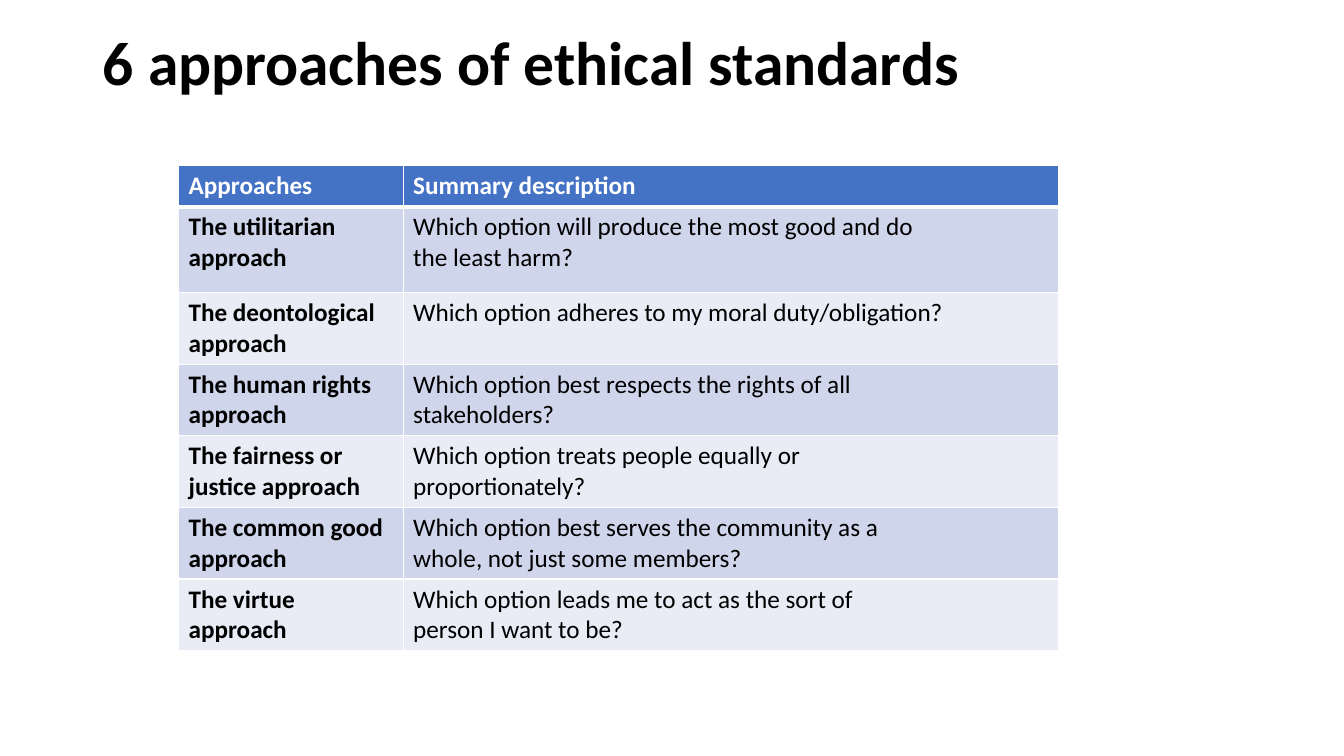
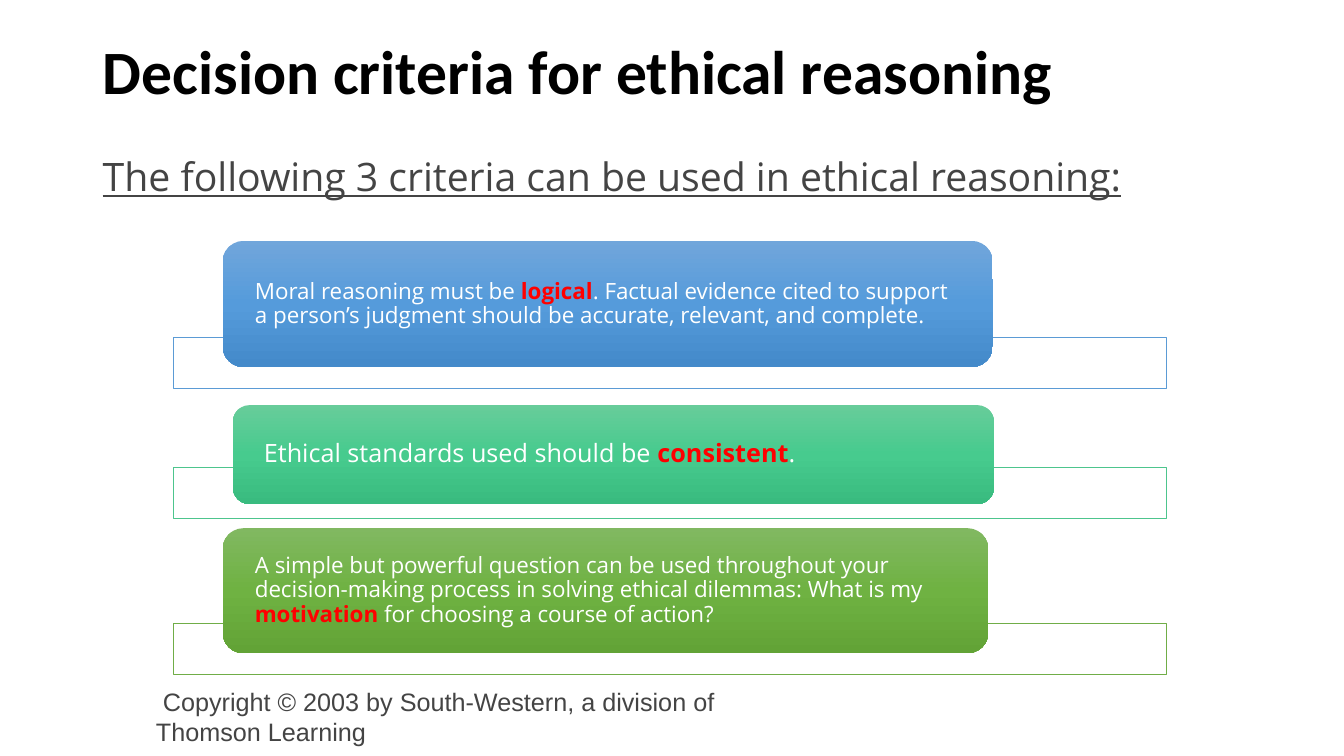
from pptx import Presentation
from pptx.dml.color import RGBColor as RGB
from pptx.enum.shapes import MSO_SHAPE as SHAPE
from pptx.enum.text import MSO_ANCHOR as ANCHOR, MSO_AUTO_SIZE as AUTO, PP_ALIGN as ALIGN
from pptx.oxml import parse_xml
from pptx.oxml.ns import nsdecls, qn
from pptx.util import Cm, Pt
from copy import deepcopy

BLACK = RGB(0x00, 0x00, 0x00)
WHITE = RGB(0xFF, 0xFF, 0xFF)
GREY = RGB(0x44, 0x44, 0x44)
RED = RGB(0xFF, 0x00, 0x00)
HEAD = RGB(0x44, 0x72, 0xC4)
BANDS = RGB(0xCF, 0xD5, 0xEA), RGB(0xE9, 0xEB, 0xF5)
BLUE = RGB(0x5B, 0x9B, 0xD5)
TEAL = RGB(0x4D, 0xC5, 0x8D)
GREEN = RGB(0x70, 0xAD, 0x47)
BLUES = RGB(0x71, 0xA6, 0xDB), RGB(0x55, 0x9B, 0xDB), RGB(0x44, 0x8A, 0xCA)
TEALS = RGB(0x67, 0xCC, 0x9A), RGB(0x47, 0xCB, 0x8E), RGB(0x39, 0xBB, 0x7F)
GREENS = RGB(0x81, 0xB8, 0x61), RGB(0x6F, 0xB2, 0x42), RGB(0x62, 0xA3, 0x36)

TITLE = dict(name="Calibri", size=Pt(44), bold=True, color=BLACK)
CELL = dict(name="Calibri", size=Pt(18), bold=False, color=BLACK)
LEAD = dict(name="Open Sans", size=Pt(28), underline=True, color=GREY)
CARD = dict(name="Open Sans", size=Pt(16), bold=False, color=WHITE)
NOTE = dict(name="Arial", size=Pt(18), color=GREY)

ROWS = [
    ("Approaches", "Summary description"),
    ("The utilitarian\napproach",
     "Which option will produce the most good and do\nthe least harm?"),
    ("The deontological approach",
     "Which option adheres to my moral duty/obligation?"),
    ("The human rights\napproach",
     "Which option best respects the rights of all\nstakeholders?"),
    ("The fairness or\njustice approach",
     "Which option treats people equally or\nproportionately?"),
    ("The common good\napproach",
     "Which option best serves the community as a\nwhole, not just some members?"),
    ("The virtue approach",
     "Which option leads me to act as the sort of\nperson I want to be?"),
]

# Card box, bar top, text size, bar colour, card gradient, text parts
CARDS = [
    ((5.61, 6.07, 19.41, 3.18), 8.51, 16, BLUE, BLUES,
     ("Moral reasoning must be ", "logical",
      ". Factual evidence cited to support a person’s judgment should be "
      "accurate, relevant, and complete.")),
    ((5.87, 10.21, 19.18, 2.49), 11.79, 18, TEAL, TEALS,
     ("Ethical standards used should be ", "consistent", ".")),
    ((5.61, 13.31, 19.3, 3.15), 15.72, 16, GREEN, GREENS,
     ("A simple but powerful question can be used throughout your "
      "decision-making process in solving ethical dilemmas: What is my ",
      "motivation", " for choosing a course of action?")),
]


def cms(box):
    return [Cm(v) for v in box]


def put(item, look):
    for key, val in look.items():
        setattr(item, key, val)


class Deck:
    def __init__(self):
        self.show = Presentation()
        put(self.show, dict(slide_width=Cm(33.87), slide_height=Cm(19.05)))

    def page(self, title, top, tall):
        self.slide = self.show.slides.add_slide(self.show.slide_layouts[5])
        self.shapes = self.slide.shapes
        head = self.shapes.title
        put(head, dict(left=Cm(2.34), top=Cm(top), width=Cm(29.21), height=Cm(tall)))
        put(head.text_frame, dict(vertical_anchor=ANCHOR.MIDDLE, auto_size=AUTO.NONE))
        self.say(head.text_frame.paragraphs[0], title, TITLE, 0.9)

    def say(self, para, text, look, space=1.0):
        """Add one run to a left-aligned paragraph."""
        put(para, dict(alignment=ALIGN.LEFT, line_spacing=space))
        run = para.add_run()
        run.text = text
        look = dict(look)
        run.font.color.rgb = look.pop("color")
        put(run.font, look)

    def text(self, box, text, look, space=1.0):
        frame = self.shapes.add_textbox(*cms(box)).text_frame
        frame.word_wrap = True
        self.say(frame.paragraphs[0], text, look, space)

    def shape(self, kind, box):
        item = self.shapes.add_shape(kind, *cms(box))
        item.shadow.inherit = False
        return item

    def bar(self, top, color):
        bar = self.shape(SHAPE.RECTANGLE, (4.37, top, 25.02, 1.27))
        bar.fill.solid()
        bar.fill.fore_color.rgb = WHITE
        bar.line.color.rgb = color
        bar.line.width = Pt(0.5)

    def card(self, box, size, shades, parts):
        card = self.shape(SHAPE.ROUNDED_RECTANGLE, box)
        card.line.fill.background()
        self.grade(card, shades)
        frame = card.text_frame
        put(frame, dict(word_wrap=True, vertical_anchor=ANCHOR.MIDDLE,
                        margin_left=Cm(0.66), margin_right=Cm(0.66),
                        margin_top=0, margin_bottom=0))
        plain = CARD | dict(size=Pt(size))
        strong = plain | dict(bold=True, color=RED)
        for part, look in zip(parts, (plain, strong, plain)):
            self.say(frame.paragraphs[0], part, look, 0.9)

    def grade(self, item, shades):
        """Fill with evenly spaced shades from top to bottom."""
        fill = item.fill
        fill.gradient()
        fill.gradient_angle = 270
        stops = item._element.spPr.find(".//" + qn("a:gsLst"))
        while len(stops) < len(shades):
            stops.append(deepcopy(stops[0]))
        for i, (stop, shade) in enumerate(zip(fill.gradient_stops, shades)):
            stop.position = i / (len(shades) - 1)
            stop.color.rgb = shade

    def edge(self, cell, row):
        """Draw white cell borders, thick below the header row."""
        thick = {(0, "B"), (1, "T")}
        for side in "LRTB":
            wide = Pt(3 if (row, side) in thick else 1)
            cell._tc.get_or_add_tcPr().append(parse_xml(
                f'<a:ln{side} {nsdecls("a")} w="{wide}"><a:solidFill>'
                f'<a:srgbClr val="{WHITE}"/></a:solidFill></a:ln{side}>'))

    def table(self, spot, wides, talls, rows):
        size = sum(wides), sum(talls)
        grid = self.shapes.add_table(len(rows), len(wides), *cms(spot + size)).table
        for col, wide in zip(grid.columns, wides):
            col.width = Cm(wide)
        for r, (row, tall) in enumerate(zip(rows, talls)):
            grid.rows[r].height = Cm(tall)
            for c, text in enumerate(row):
                cell = grid.cell(r, c)
                self.edge(cell, r)
                cell.fill.solid()
                cell.fill.fore_color.rgb = BANDS[(r - 1) % 2] if r else HEAD
                look = CELL | dict(bold=r == 0 or c == 0, color=BLACK if r else WHITE)
                frame = cell.text_frame
                for n, line in enumerate(text.split("\n")):
                    para = frame.add_paragraph() if n else frame.paragraphs[0]
                    self.say(para, line, look)


def main():
    deck = Deck()
    deck.page("6 approaches of ethical standards", 0, 3.3)
    deck.table((4.5, 4.17), (5.66, 16.51), (1.04, 2.16) + (1.8,) * 5, ROWS)

    deck.page("Decision criteria for ethical reasoning", 0.3, 3.15)
    deck.text((2.34, 3.86, 29.21, 1.6),
              "The following 3 criteria can be used in ethical reasoning:", LEAD, 0.9)
    for box, top, size, color, shades, parts in CARDS:
        deck.bar(top, color)
        deck.card(box, size, shades, parts)
    deck.text((3.68, 17.17, 16.94, 1.8),
              " Copyright © 2003 by South-Western, a division of Thomson Learning", NOTE)
    deck.show.save("out.pptx")


if __name__ == "__main__":
    main()
